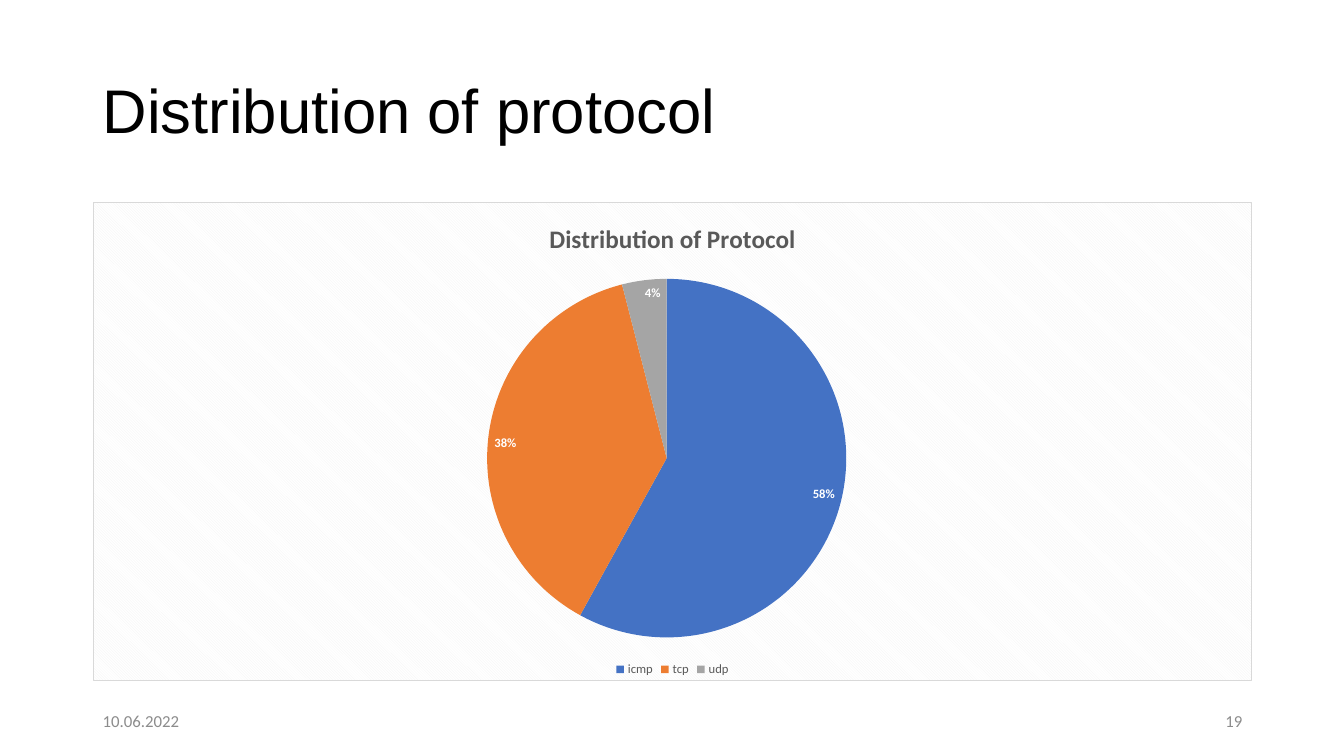
from dataclasses import dataclass

from lxml import etree
from pptx import Presentation
from pptx.chart.data import CategoryChartData
from pptx.dml.color import RGBColor
from pptx.enum.chart import XL_CHART_TYPE, XL_LABEL_POSITION, XL_LEGEND_POSITION
from pptx.enum.text import MSO_ANCHOR, PP_ALIGN
from pptx.oxml import parse_xml
from pptx.util import Inches, Pt

PIE = XL_CHART_TYPE.PIE
INSIDE_END = XL_LABEL_POSITION.INSIDE_END
LEGEND_BOTTOM = XL_LEGEND_POSITION.BOTTOM
MIDDLE = MSO_ANCHOR.MIDDLE
LEFT, RIGHT = PP_ALIGN.LEFT, PP_ALIGN.RIGHT
CHART_NS = "http://schemas.openxmlformats.org/drawingml/2006/chart"
DRAWING_NS = "http://schemas.openxmlformats.org/drawingml/2006/main"


@dataclass(frozen=True)
class Theme:
    heading_font: str = "Arial"
    body_font: str = "Calibri"
    black: str = "000000"
    white: str = "FFFFFF"
    chart_text: str = "595959"
    footer_text: str = "8C8C8C"
    stripe: str = "F2F2F2"
    border: str = "D9D9D9"
    slices: tuple = ("4472C4", "ED7D31", "A5A5A5")
    title_size: int = 44
    chart_title_size: int = 18
    footer_size: int = 12
    chart_size: int = 10
    label_size: int = 9


THEME = Theme()
PROTOCOL_SHARES = {"icmp": 58, "tcp": 38, "udp": 4}
MARGIN, CONTENT_WIDTH = 0.92, 11.5


def format_font(font, size, color, name=THEME.body_font, bold=False):
    font.size = Pt(size)
    font.name = name
    font.bold = bold
    font.color.rgb = RGBColor.from_string(color)


def add_text(slide, text, box, align=LEFT, line_spacing=1.0, **font_format):
    shape = slide.shapes.add_textbox(*map(Inches, box))
    frame = shape.text_frame
    frame.word_wrap = True
    frame.vertical_anchor = MIDDLE
    paragraph = frame.paragraphs[0]
    paragraph.alignment = align
    paragraph.line_spacing = line_spacing
    run = paragraph.add_run()
    run.text = text
    format_font(run.font, **font_format)


def style_chart_area(chart):
    """Give the chart area its diagonal pattern and thin border."""
    properties = parse_xml(
        f'<c:spPr xmlns:c="{CHART_NS}" xmlns:a="{DRAWING_NS}">'
        f'<a:pattFill prst="dkDnDiag">'
        f'<a:fgClr><a:srgbClr val="{THEME.stripe}"/></a:fgClr>'
        f'<a:bgClr><a:srgbClr val="{THEME.white}"/></a:bgClr></a:pattFill>'
        f'<a:ln w="{Pt(0.75)}"><a:solidFill><a:srgbClr val="{THEME.border}"/>'
        f'</a:solidFill></a:ln></c:spPr>'
    )
    chart.element.find(f"{{{CHART_NS}}}chart").addnext(properties)


def place_plot(chart, x, y, width, height):
    """Fix the pie's inner area, as fractions of the chart."""
    plot_area = chart.element.find(f".//{{{CHART_NS}}}plotArea")
    for old_layout in plot_area.findall(f"{{{CHART_NS}}}layout"):
        plot_area.remove(old_layout)
    layout = etree.Element(f"{{{CHART_NS}}}layout")
    manual = etree.SubElement(layout, f"{{{CHART_NS}}}manualLayout")
    settings = {"layoutTarget": "inner", "xMode": "edge", "yMode": "edge",
                "x": x, "y": y, "w": width, "h": height}
    for tag, value in settings.items():
        etree.SubElement(manual, f"{{{CHART_NS}}}{tag}", val=str(value))
    plot_area.insert(0, layout)


def add_protocol_chart(slide, box):
    data = CategoryChartData()
    data.categories = list(PROTOCOL_SHARES)
    data.add_series("Series 1", list(PROTOCOL_SHARES.values()))
    chart = slide.shapes.add_chart(PIE, *map(Inches, box), data).chart
    format_font(chart.font, THEME.chart_size, THEME.black)
    style_chart_area(chart)
    place_plot(chart, 0.34, 0.16, 0.31, 0.75)

    chart.has_title = True
    title = chart.chart_title
    title.include_in_layout = False
    paragraph = title.text_frame.paragraphs[0]
    run = paragraph.add_run()
    run.text = "Distribution of Protocol"
    format_font(run.font, THEME.chart_title_size, THEME.chart_text, bold=True)

    chart.has_legend = True
    chart.legend.position = LEGEND_BOTTOM
    chart.legend.include_in_layout = False
    format_font(chart.legend.font, THEME.label_size, THEME.chart_text)

    plot = chart.plots[0]
    plot.vary_by_categories = True
    for index, color in enumerate(THEME.slices):
        fill = plot.series[0].points[index].format.fill
        fill.solid()
        fill.fore_color.rgb = RGBColor.from_string(color)
    labels = plot.series[0].data_labels
    labels.show_percentage = True
    labels.show_value = False
    labels.number_format = "0%"
    labels.number_format_is_linked = False
    labels.position = INSIDE_END
    format_font(labels.font, THEME.label_size, THEME.white, bold=True)


def add_footer(slide, box, date, number):
    left, top, width, height = box
    part_width = 3
    parts = ((date, left, LEFT), (number, left + width - part_width, RIGHT))
    for text, part_left, align in parts:
        add_text(slide, text, (part_left, top, part_width, height), align=align,
                 size=THEME.footer_size, color=THEME.footer_text)


def build_protocol_slide(presentation):
    slide = presentation.slides.add_slide(presentation.slide_layouts[6])
    add_text(slide, "Distribution of protocol", (MARGIN, 0.4, CONTENT_WIDTH, 1.45),
             line_spacing=0.9, size=THEME.title_size, color=THEME.black,
             name=THEME.heading_font)
    add_protocol_chart(slide, (MARGIN, 2, CONTENT_WIDTH, 4.76))
    add_footer(slide, (MARGIN, 6.95, CONTENT_WIDTH, 0.4), "10.06.2022", "19")


def main():
    presentation = Presentation()
    presentation.slide_width = Inches(13.33)
    presentation.slide_height = Inches(7.5)
    build_protocol_slide(presentation)
    presentation.save("out.pptx")


if __name__ == "__main__":
    main()
